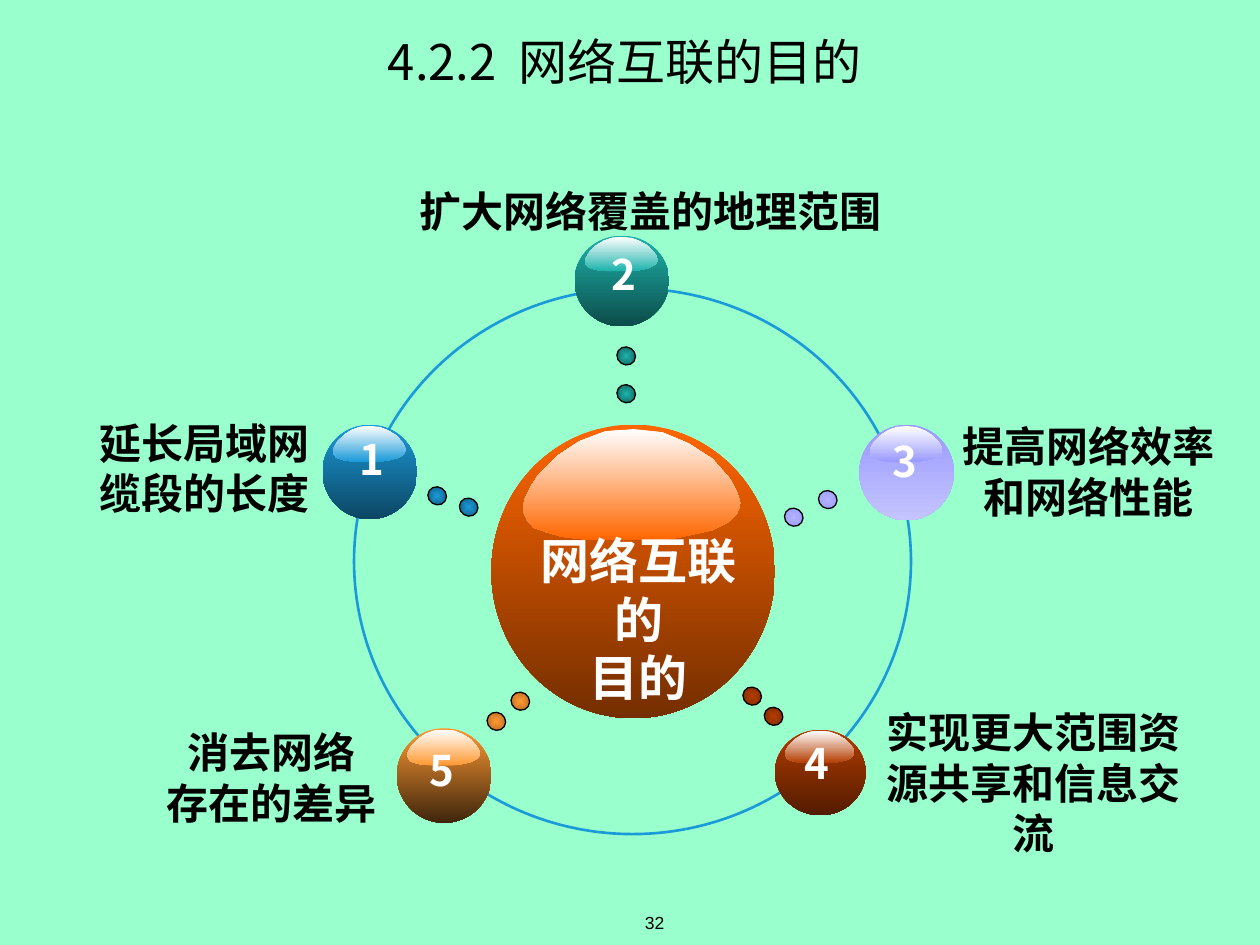
from dataclasses import dataclass

from lxml import etree
from pptx import Presentation
from pptx.dml.color import RGBColor
from pptx.enum.shapes import MSO_SHAPE
from pptx.enum.text import MSO_ANCHOR, PP_ALIGN
from pptx.oxml.ns import qn
from pptx.util import Inches, Pt

OVAL = MSO_SHAPE.OVAL
CENTER = PP_ALIGN.CENTER
TOP, MIDDLE = MSO_ANCHOR.TOP, MSO_ANCHOR.MIDDLE
COLUMNS, ROWS = 100, 75
SLIDE_WIDTH, SLIDE_HEIGHT = Inches(10), Inches(7.5)
COL, ROW = SLIDE_WIDTH / COLUMNS, SLIDE_HEIGHT / ROWS
CJK, LATIN = "Noto Sans CJK SC", "Arial"
DOT_SIZE = (1.4, 1.5)
DOT_ROTATION = 303.8

COLORS = {
    "background": "99FFCC", "text": "000000", "light": "FFFFFF", "ring": "1B9AD9",
    "orange": "FF6600", "orange_dark": "742E00",
    "blue": "1B9AD9", "blue_dark": "0C4663", "blue_dot": "0F5274",
    "teal": "1DB3AC", "teal_dark": "0C4C49", "teal_dot": "0E5451",
    "violet": "9999FF", "violet_dark": "C4C4FF", "violet_pale": "B2B2FF",
    "rust": "B43C00", "rust_dark": "531C00", "rust_dot": "782800",
    "amber": "FF9933", "amber_dark": "3E250C", "amber_dot": "AA6622",
}

GLOSS_BOX = (0.11, 0.015, 0.77, 0.378)
GLOSS_OUTLINE = [
    (98, 56), (100, 67), (98, 77), (94, 84), (87, 91), (78, 95), (68, 99),
    (60, 100), (36, 100), (26, 99), (18, 97), (11, 93), (5, 89), (2, 82),
    (0, 73), (1, 63), (4, 51), (7, 42), (16, 24), (26, 11), (38, 2),
    (51, 0), (64, 3), (76, 13), (87, 27), (95, 45),
]


@dataclass
class Purpose:
    number: str
    ball: tuple
    number_box: tuple
    ball_colors: tuple
    dots: list
    dot_colors: tuple
    label: list
    label_box: tuple


PURPOSES = [
    Purpose("2", (45.6, 18.7, 7.5, 7.2), (48.5, 19.7, 2, 4), ("teal", "teal_dark"),
            [(49, 27.5), (49, 30.5)], ("teal", "teal_dot"),
            ["扩大网络覆盖的地理范围"], (31.9, 14.7, 39.4, 4)),
    Purpose("5", (31.5, 57.8, 7.5, 7.5), (34.1, 59.1, 2, 4), ("amber", "amber_dark"),
            [(38.7, 56.5), (40.6, 54.9)], ("amber", "amber_dot"),
            ["消去网络", "存在的差异"], (12.5, 57.7, 18.1, 8)),
    Purpose("3", (68.2, 33.7, 7.5, 7.6), (70.8, 34.6, 2, 4), ("violet", "violet_dark"),
            [(65, 38.9), (62.3, 40.3)], ("violet_pale", "violet"),
            ["提高网络效率", "和网络性能"], (76, 33.4, 20.8, 8)),
    Purpose("4", (61.5, 57.9, 7.2, 6.8), (63.8, 58.5, 2, 4), ("rust", "rust_dark"),
            [(60.7, 56.1), (59, 54.5)], ("rust", "rust_dot"),
            ["实现更大范围资源共享和信息交流"], (69.5, 56.1, 25.1, 12)),
    Purpose("1", (25.6, 33.7, 7.5, 7.5), (28.5, 34.4, 2, 4), ("blue", "blue_dark"),
            [(34, 38.6), (36.5, 39.5)], ("blue", "blue_dot"),
            ["延长局域网", "缆段的长度"], (7.4, 33.1, 17.6, 8)),
]


def rgb(name):
    return RGBColor.from_string(COLORS[name])


def place(box):
    left, top, width, height = box
    return round(left * COL), round(top * ROW), round(width * COL), round(height * ROW)


def set_gradient(shape, names, from_center=False):
    shape.fill.gradient()
    for stop, name in zip(shape.fill.gradient_stops, names):
        stop.color.rgb = rgb(name)
    if not from_center:
        shape.fill.gradient_angle = 270
        return
    linear = shape.element.spPr.find(qn("a:gradFill")).find(qn("a:lin"))
    center = etree.Element(qn("a:path"), {"path": "rect"})
    etree.SubElement(center, qn("a:fillToRect"), dict.fromkeys("ltrb", "50000"))
    linear.getparent().replace(linear, center)


def add_oval(slide, box):
    oval = slide.shapes.add_shape(OVAL, *place(box))
    oval.shadow.inherit = False
    return oval


def add_text(slide, box, lines, size, color, bold=False, font=CJK, wrap=True, anchor=TOP):
    frame = slide.shapes.add_textbox(*place(box)).text_frame
    frame.margin_left = frame.margin_right = frame.margin_top = frame.margin_bottom = 0
    frame.word_wrap = wrap
    frame.vertical_anchor = anchor
    frame.text = "\n".join(lines)
    for paragraph in frame.paragraphs:
        paragraph.alignment = CENTER
        paragraph.font.size = Pt(size)
        paragraph.font.bold = bold
        paragraph.font.color.rgb = rgb(color)
        paragraph.font.name = font
        defaults = paragraph._p.pPr.find(qn("a:defRPr"))
        etree.SubElement(defaults, qn("a:ea"), {"typeface": font})


def add_ball(slide, box, colors):
    ball = add_oval(slide, box)
    set_gradient(ball, colors)
    ball.line.fill.background()
    left, top, width, height = place(box)
    x, y, w, h = GLOSS_BOX
    points = [(round(left + width * (x + w * px / 100)),
               round(top + height * (y + h * py / 100))) for px, py in GLOSS_OUTLINE]
    outline = slide.shapes.build_freeform(*points[0])
    outline.add_line_segments(points[1:], close=True)
    gloss = outline.convert_to_shape()
    gloss.shadow.inherit = False
    set_gradient(gloss, ("light", colors[0]))
    gloss.line.fill.background()


def add_ring(slide, box):
    ring = add_oval(slide, box)
    ring.fill.background()
    ring.line.color.rgb = rgb("ring")
    ring.line.width = Pt(1.5)


def add_hub(slide, box):
    left, top, width, height = box
    add_ball(slide, box, ("orange", "orange_dark"))
    caption_box = (left + 0.09 * width, top + 0.36 * height, 0.86 * width, 0.4 * height)
    add_text(slide, caption_box, ["网络互联的", "目的"], 28, "light", bold=True, wrap=False)


def add_purpose(slide, purpose):
    add_ball(slide, purpose.ball, purpose.ball_colors)
    add_text(slide, purpose.number_box, [purpose.number], 24, "light", bold=True, wrap=False)
    for corner in purpose.dots:
        dot = add_oval(slide, corner + DOT_SIZE)
        dot.rotation = DOT_ROTATION
        set_gradient(dot, purpose.dot_colors, from_center=True)
        dot.line.color.rgb = rgb("text")
        dot.line.width = Pt(0.75)
    add_text(slide, purpose.label_box, purpose.label, 24, "text", bold=True)


def main():
    deck = Presentation()
    deck.slide_width, deck.slide_height = SLIDE_WIDTH, SLIDE_HEIGHT
    slide = deck.slides.add_slide(deck.slide_layouts[6])
    slide.background.fill.solid()
    slide.background.fill.fore_color.rgb = rgb("background")
    add_text(slide, (41.3, 71.4, 21.3, 3.6), ["32"], 10, "text",
             font=LATIN, wrap=False, anchor=MIDDLE)
    add_text(slide, (0, 1.7, COLUMNS, 6.2), ["4.2.2  网络互联的目的 "], 28, "text", anchor=MIDDLE)
    add_ring(slide, (28.1, 22.9, 44.2, 43.3))
    add_hub(slide, (39, 33.7, 22.5, 23.3))
    for purpose in PURPOSES:
        add_purpose(slide, purpose)
    deck.save("out.pptx")


if __name__ == "__main__":
    main()
